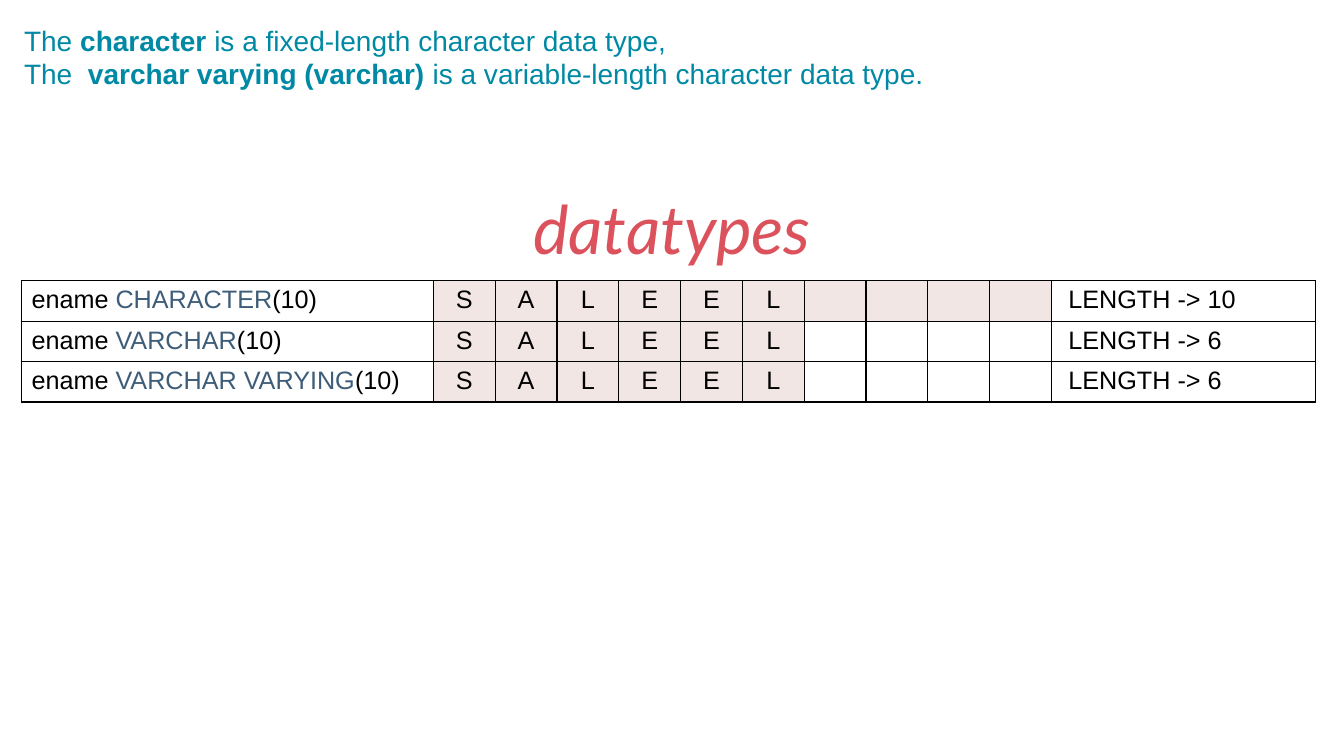
from lxml.etree import SubElement
from pptx import Presentation
from pptx.dml.color import RGBColor
from pptx.enum.text import MSO_ANCHOR, PP_ALIGN
from pptx.oxml import parse_xml
from pptx.oxml.ns import nsdecls
from pptx.util import Pt

COLORS = {
    "teal": "0089A4",
    "red": "DC525C",
    "black": "000000",
    "type": "3E5D78",
    "used": "F1E6E3",
    "free": "FFFFFF",
}
NAME = "SALEEL"
SLOTS = 10
# Data type, number of slots it occupies
DATATYPES = [("CHARACTER", 10), ("VARCHAR", 6), ("VARCHAR VARYING", 6)]


def rgb(color):
    return RGBColor.from_string(COLORS[color])


def add_span(para, text, size=18, font="Arial", color="black", bold=False, italic=False):
    span = para.add_run()
    span.text = text
    span.font.size = Pt(size)
    span.font.name = font
    span.font.color.rgb = rgb(color)
    span.font.bold = bold
    span.font.italic = italic


def add_box(page, left, top, width, height, anchor=MSO_ANCHOR.TOP):
    box = page.shapes.add_textbox(Pt(left), Pt(top), Pt(width), Pt(height))
    box.text_frame.word_wrap = True
    box.text_frame.vertical_anchor = anchor
    return box.text_frame


def add_title(page, left, top, width, height):
    para = add_box(page, left, top, width, height, MSO_ANCHOR.MIDDLE).paragraphs[0]
    para.alignment = PP_ALIGN.CENTER
    add_span(para, "datatypes", size=48, font="Lato", color="red", italic=True)


def add_definitions(page, left, top, width, height):
    frame = add_box(page, left, top, width, height)
    lines = [
        ("The ", "character", " is a fixed-length character data type,"),
        ("The ", " varchar varying (varchar)", " is a variable-length character data type."),
    ]
    for index, (start, term, meaning) in enumerate(lines):
        para = frame.add_paragraph() if index else frame.paragraphs[0]
        for text, bold in ((start, False), (term, True), (meaning, False)):
            add_span(para, text, size=20, color="teal", bold=bold)


def style_cell(cell, fill):
    cell.fill.solid()
    cell.fill.fore_color.rgb = rgb(fill)
    # Borders come before the fill in the cell properties
    properties = cell._tc.get_or_add_tcPr()
    for index, side in enumerate("LRTB"):
        line = parse_xml(f'<a:ln{side} {nsdecls("a")} w="{Pt(1)}"><a:solidFill/></a:ln{side}>')
        SubElement(line[0], line[0].tag.replace("solidFill", "srgbClr"), val=COLORS["black"])
        properties.insert(index, line)


def add_storage_table(page, left, top, width, height):
    label_width, slot_width, first_height = 294.3, 44.14, 29.2
    rows = len(DATATYPES)
    frame = page.shapes.add_table(rows, SLOTS + 2, Pt(left), Pt(top), Pt(width), Pt(height))
    table = frame.table
    table.first_row = table.horz_banding = False

    # Column widths and row heights
    widths = [label_width] + [slot_width] * SLOTS
    widths.append(width - sum(widths))
    for column, column_width in zip(table.columns, widths):
        column.width = Pt(column_width)
    for index, row in enumerate(table.rows):
        row.height = Pt((height - first_height) / (rows - 1) if index else first_height)

    for row, (datatype, length) in enumerate(DATATYPES):
        # Declaration
        label = table.cell(row, 0)
        style_cell(label, "free")
        para = label.text_frame.paragraphs[0]
        add_span(para, "ename ")
        add_span(para, datatype, color="type")
        add_span(para, f"({SLOTS})")

        # One slot for each character
        for slot in range(SLOTS):
            cell = table.cell(row, slot + 1)
            style_cell(cell, "used" if slot < length else "free")
            para = cell.text_frame.paragraphs[0]
            para.alignment = PP_ALIGN.CENTER
            para.font.size = Pt(18)
            if slot < len(NAME):
                add_span(para, NAME[slot])

        # Resulting length
        result = table.cell(row, SLOTS + 1)
        style_cell(result, "free")
        result.margin_left = Pt(12.2)
        add_span(result.text_frame.paragraphs[0], f"LENGTH -> {length}")


def main():
    deck = Presentation()
    deck.slide_width, deck.slide_height = Pt(960), Pt(540)
    page = deck.slides.add_slide(deck.slide_layouts[6])
    add_title(page, 132, 126.7, 696, 72)
    add_storage_table(page, 15.3, 200.3, 924.2, 84.8)
    add_definitions(page, 10.1, 13, 685.4, 55.4)
    deck.save("out.pptx")


if __name__ == "__main__":
    main()
